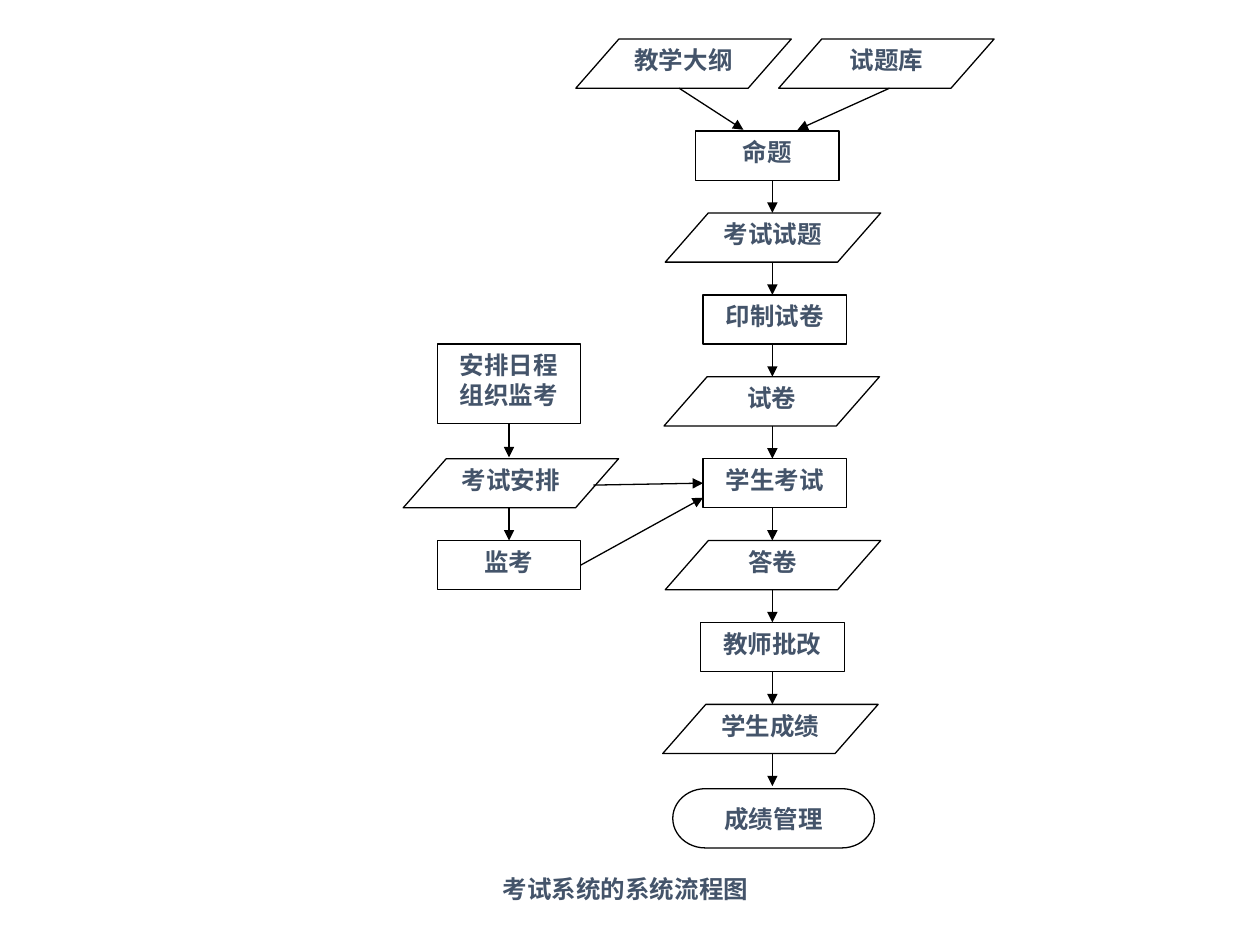
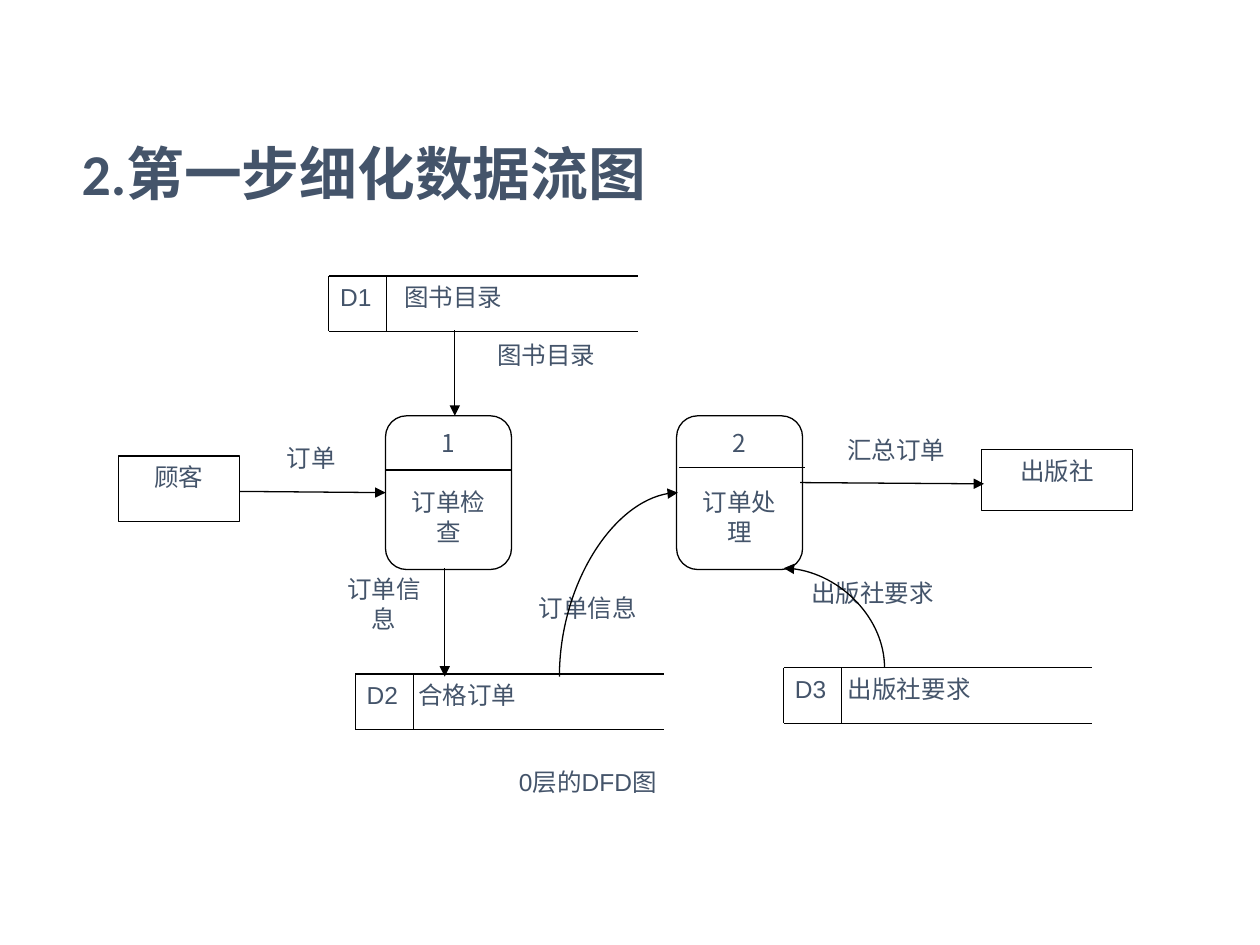
from dataclasses import dataclass

from lxml import etree
from pptx import Presentation
from pptx.dml.color import RGBColor
from pptx.enum import shapes, text
from pptx.oxml import ns
from pptx.util import Inches, Pt

SHAPE = shapes.MSO_SHAPE
ALIGN = text.PP_ALIGN


@dataclass(frozen=True)
class Theme:
    """Colours, fonts and sizes shared by the slides."""

    ink: RGBColor = RGBColor(0x44, 0x54, 0x6A)
    outline: RGBColor = RGBColor(0, 0, 0)
    paper: RGBColor = RGBColor(0xFF, 0xFF, 0xFF)
    line_width: float = 0.75
    body_size: int = 14
    title_size: int = 33
    body_font: str = "Arial"
    title_font: str = "Calibri"
    process_font: str = "Noto Sans CJK SC"


THEME = Theme()


def format_text(frame, size=THEME.body_size, font=THEME.body_font, bold=False, align=ALIGN.CENTER):
    """Apply one type style to every run of a text frame."""
    frame.word_wrap = True
    for paragraph in frame.paragraphs:
        paragraph.alignment = align
        for run in paragraph.runs:
            run.font.size = Pt(size)
            run.font.name = font
            run.font.bold = bold
            run.font.color.rgb = THEME.ink


def add_box(slide, kind, box, words, outline=THEME.outline, **style):
    """Add a white outlined shape with text at its top."""
    shape = slide.shapes.add_shape(kind, *map(Inches, box))
    shape.shadow.inherit = False
    shape.fill.solid()
    shape.fill.fore_color.rgb = THEME.paper
    shape.line.color.rgb = outline
    shape.line.width = Pt(THEME.line_width)
    shape.text_frame.text = words
    shape.text_frame.vertical_anchor = text.MSO_ANCHOR.TOP
    format_text(shape.text_frame, **style)
    return shape


def add_label(slide, box, words, **style):
    """Add a text label on a borderless white rectangle."""
    return add_box(slide, SHAPE.RECTANGLE, box, words, outline=THEME.paper, **style)


def add_title(slide, box, words):
    """Add the slide title."""
    frame = slide.shapes.add_textbox(*map(Inches, box)).text_frame
    frame.text = words
    frame.vertical_anchor = text.MSO_ANCHOR.MIDDLE
    frame.paragraphs[0].line_spacing = 0.9
    format_text(frame, THEME.title_size, THEME.title_font, True, ALIGN.LEFT)


def add_line(slide, start, end, arrow=False, kind=shapes.MSO_CONNECTOR.STRAIGHT):
    """Add a thin line, with an arrowhead at its end if wanted."""
    connector = slide.shapes.add_connector(kind, *map(Inches, (*start, *end)))
    connector.line.color.rgb = THEME.outline
    connector.line.width = Pt(THEME.line_width)
    properties = connector._element.spPr
    if arrow:
        etree.SubElement(properties.find(ns.qn("a:ln")), ns.qn("a:tailEnd"), type="triangle")
    etree.SubElement(properties, ns.qn("a:effectLst"))
    return connector


def find_site(x, y, rectangles):
    """Return the rectangle and side whose middle lies at a point."""
    tolerance = Inches(0.015)
    for shape in rectangles:
        middle_x, middle_y = shape.left + shape.width // 2, shape.top + shape.height // 2
        sides = ((middle_x, shape.top), (shape.left, middle_y),
                 (middle_x, shape.top + shape.height), (shape.left + shape.width, middle_y))
        for site, (side_x, side_y) in enumerate(sides):
            if abs(side_x - x) <= tolerance and abs(side_y - y) <= tolerance:
                return shape, site
    return None


def add_arrow(slide, start, end, rectangles):
    """Add a straight arrow joined to the rectangle sides it meets midway."""
    connector = add_line(slide, start, end, arrow=True)
    source = find_site(connector.begin_x, connector.begin_y, rectangles)
    target = find_site(connector.end_x, connector.end_y, rectangles)
    if source:
        connector.begin_connect(*source)
    if target:
        connector.end_connect(*target)


def add_curve(slide, start, end):
    """Add a quarter-curve arrow that leaves upwards and arrives sideways."""
    middle_x, middle_y = (start[0] + end[0]) / 2, (start[1] + end[1]) / 2
    half_run, half_rise = abs(end[1] - start[1]) / 2, (end[0] - start[0]) / 2
    connector = add_line(slide, (middle_x - half_run, middle_y - half_rise),
                         (middle_x + half_run, middle_y + half_rise),
                         arrow=True, kind=shapes.MSO_CONNECTOR.CURVE)
    properties = connector._element.spPr
    properties.find(ns.qn("a:xfrm")).set("rot", str(270 * 60000))
    properties.find(ns.qn("a:prstGeom")).set("prst", "curvedConnector2")


def add_data_store(slide, left, top, code, name, name_offset):
    """Add an open-ended data store with its code cell and name."""
    width, height, code_width = 2.45, 0.44, 0.46
    label = add_label(slide, (left - 0.12, top, 1.9, height), f"{code}\t{name}", align=ALIGN.LEFT)
    label.text_frame.margin_left = Inches(0.21)
    tabs = etree.SubElement(label.text_frame.paragraphs[0]._p.get_or_add_pPr(), ns.qn("a:tabLst"))
    etree.SubElement(tabs, ns.qn("a:tab"), pos=str(Inches(name_offset)), algn="l")
    for x in (left, left + code_width):
        add_line(slide, (x, top), (x, top + height))
    for y in (top, top + height):
        add_line(slide, (left, y), (left + width, y))


def add_process(slide, left, number, name, divider_left, divider_top):
    """Add a numbered rounded process with a dividing line."""
    shape = add_box(slide, SHAPE.ROUNDED_RECTANGLE, (left, 3.3, 1, 1.22),
                    f"{number}\n{name}", font=THEME.process_font)
    shape.adjustments[0] = 0.167
    shape.text_frame.paragraphs[1].space_before = Pt(17)
    add_line(slide, (divider_left, divider_top), (divider_left + 1, divider_top))
    return shape


def build_exam_flow(slide):
    """Draw the system flowchart of the exam system."""
    process, data = SHAPE.FLOWCHART_PROCESS, SHAPE.FLOWCHART_DATA
    widths = {process: 1.14, data: 1.71}
    height, step, first_top, column_x = 0.39, 0.65, 1.04, 6.13
    exam_top = first_top + 4 * step
    invigilate_top = exam_top + step

    def add_node(kind, left, top, words, node_height=height):
        """Add one flowchart node."""
        return add_box(slide, kind, (left, top, widths[kind], node_height), words, bold=True)

    for left, words in ((4.57, "教学大纲"), (6.18, "试题库")):
        add_node(data, left, 0.31, words)

    column = [(process, 5.52, "命题"), (data, 5.28, "考试试题"), (process, 5.58, "印制试卷"),
              (data, 5.27, "试卷"), (process, 5.58, "学生考试"), (data, 5.28, "答卷"),
              (process, 5.56, "教师批改"), (data, 5.26, "学生成绩")]
    tops = [first_top + row * step for row in range(len(column))]
    nodes = [add_node(kind, left, top, words) for (kind, left, words), top in zip(column, tops)]
    add_box(slide, SHAPE.FLOWCHART_TERMINATOR, (5.34, 6.26, 1.6, 0.47), "成绩管理", bold=True)

    nodes.append(add_node(process, 3.47, 2.73, "安排日程\n组织监考", 0.63))
    add_node(data, 3.2, exam_top, "考试安排")
    nodes.append(add_node(process, 3.47, invigilate_top, "监考"))
    rectangles = [node for node in nodes if node.auto_shape_type == process]

    arrows = [((column_x, top + height), (column_x, top + step)) for top in tops]
    arrows += [((5.39, 0.7), (5.9, 1.03)), ((7.06, 0.7), (6.33, 1.03)),
               ((4.04, 3.37), (4.04, 3.63)),
               ((4.04, exam_top + height), (4.04, invigilate_top)),
               ((4.71, 3.85), (5.58, 3.85)), ((4.61, 4.49), (5.58, 3.95))]
    for start, end in arrows:
        add_arrow(slide, start, end, rectangles)

    caption = add_label(slide, (3.85, 6.89, 2.87, 0.33), "考试系统的系统流程图",
                        bold=True, align=ALIGN.LEFT)
    caption.text_frame.margin_left = Inches(0.14)


def build_order_flow(slide):
    """Draw the level 0 data flow diagram of book orders."""
    add_title(slide, (0.55, 0.78, 9, 1.25), "2.第一步细化数据流图")

    labels = [((6.06, 4.54, 1.73, 0.5), "出版社要求"), ((3.49, 2.65, 1.69, 0.42), "图书目录"),
              ((3.8, 4.66, 1.73, 0.5), "订单信息"), ((2.61, 4.51, 0.88, 0.85), "订单信息"),
              ((2.02, 3.47, 0.9, 0.49), "订单"), ((6.39, 3.4, 1.45, 0.49), "汇总订单"),
              ((1.87, 6.04, 5.59, 0.46), "0层的DFD图")]
    for box, words in labels:
        add_label(slide, box, words)

    for store in ((2.61, 2.19, "D1", "图书目录", 0.51), (2.82, 5.35, "D2", "合格订单", 0.41),
                  (6.22, 5.3, "D3", "出版社要求", 0.42)):
        add_data_store(slide, *store)

    rectangles = [add_box(slide, SHAPE.RECTANGLE, box, words) for box, words in (
        ((0.94, 3.62, 0.96, 0.52), "顾客"), ((7.79, 3.57, 1.2, 0.48), "出版社"))]
    rectangles += [add_process(slide, 3.06, 1, "订单检查", 3.06, 3.73),
                   add_process(slide, 5.37, 2, "订单处理", 5.39, 3.71)]

    for start, end in (((1.9, 3.9), (3.06, 3.9)), ((6.35, 3.83), (7.81, 3.84)),
                       ((3.53, 4.51), (3.53, 5.37)), ((3.61, 2.62), (3.61, 3.3))):
        add_arrow(slide, start, end, rectangles)
    add_curve(slide, (4.44, 5.37), (5.38, 3.91))
    add_curve(slide, (7.02, 5.3), (6.22, 4.51))


def main():
    """Build and save the presentation."""
    presentation = Presentation()
    presentation.slide_width, presentation.slide_height = Inches(10), Inches(7.5)
    for build in (build_exam_flow, build_order_flow):
        build(presentation.slides.add_slide(presentation.slide_layouts[6]))
    presentation.save("out.pptx")


if __name__ == "__main__":
    main()
